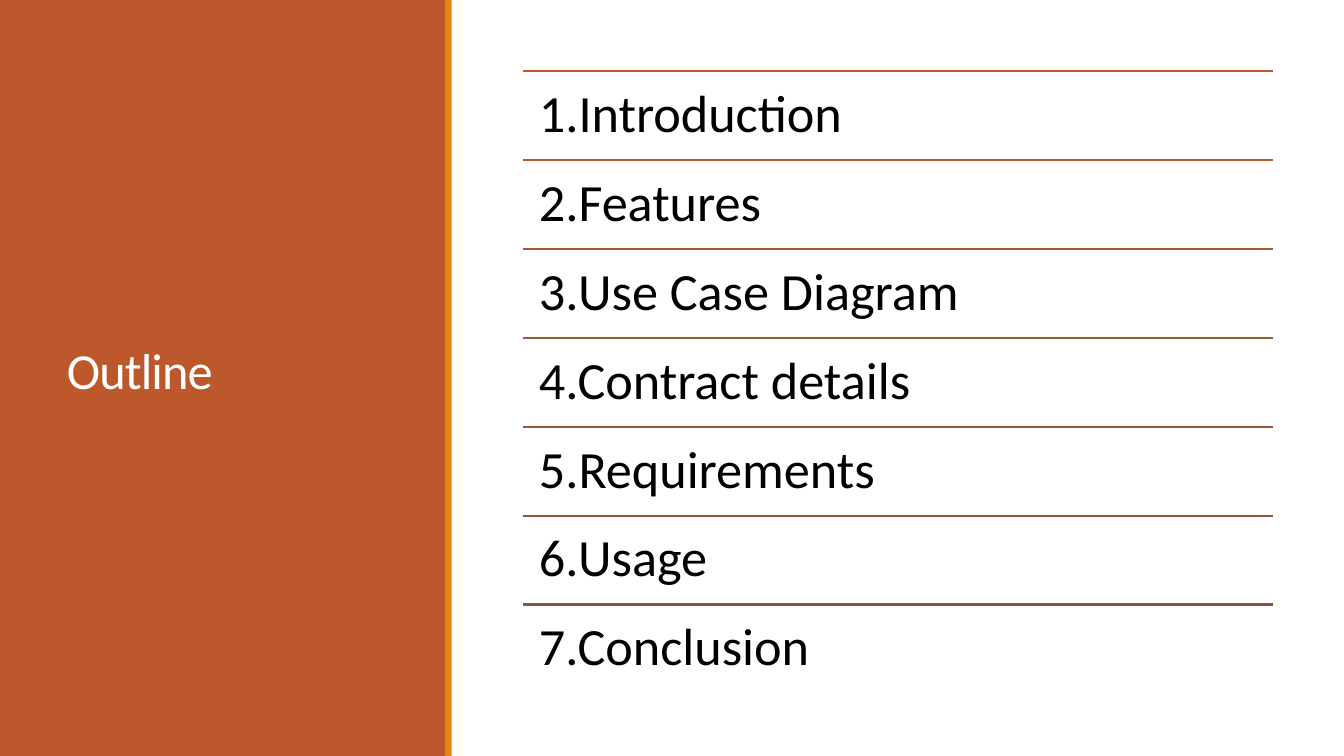
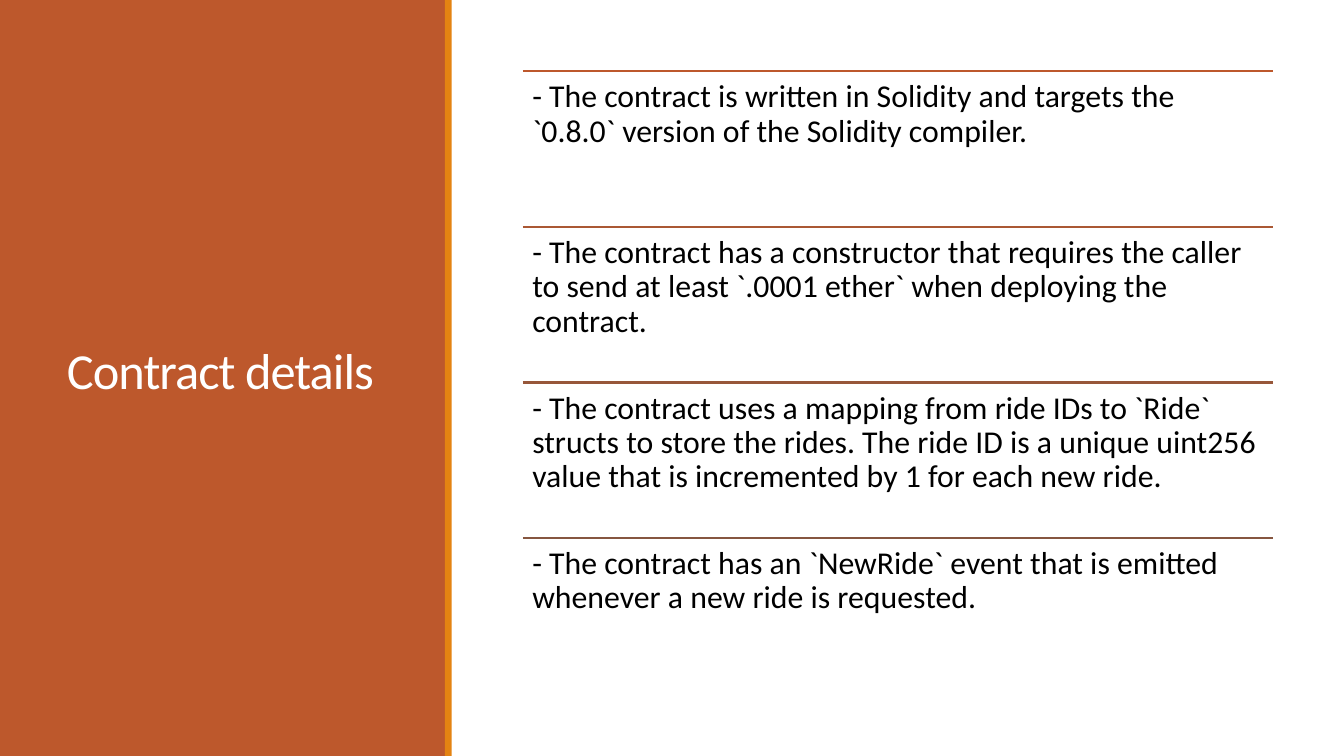
"""Build two slides with a coloured title panel and a ruled list."""
from lxml import etree
from pptx import Presentation
from pptx import util as u
from pptx.dml.color import RGBColor
from pptx.enum import shapes, text
from pptx.oxml.ns import qn

COLORS = {"panel": "BD582C", "accent": "E48312", "title": "FFFFFF", "body": "000000"}
RULES = ["BD582C", "B35830", "AA5834", "A05837", "97573A", "8F573D", "865640"]
FONT = "Calibri"
LEFT, TOP, WIDTH, HEIGHT = 3.89, 0.53, 5.58, 4.63

SLIDES = [
    ("Outline", 28, 0.12, [
        "1.Introduction",
        "2.Features",
        "3.Use Case Diagram",
        "4.Contract details",
        "5.Requirements",
        "6.Usage",
        "7.Conclusion",
    ]),
    ("Contract details", 17, 0.07, [
        "- The contract is written in Solidity and targets the `0.8.0` version of the Solidity compiler.",
        "- The contract has a constructor that requires the caller to send at least `.0001 ether` "
        "when deploying the contract.",
        "- The contract uses a mapping from ride IDs to `Ride` structs to store the rides. "
        "The ride ID is a unique uint256 value that is incremented by 1 for each new ride.",
        "- The contract has an `NewRide` event that is emitted whenever a new ride is requested.",
    ]),
]


def add_band(s, left, width, color):
    sp = s.shapes.add_shape(shapes.MSO_SHAPE.RECTANGLE, u.Inches(left), 0,
                            u.Inches(width), prs.slide_height)
    sp.shadow.inherit = False
    sp.fill.solid()
    sp.fill.fore_color.rgb = RGBColor.from_string(color)
    sp.line.fill.background()


def add_text(s, box, words, size, color, inset, spacing, anchor):
    tf = s.shapes.add_textbox(*[u.Inches(v) for v in box]).text_frame
    tf.word_wrap = True
    tf.vertical_anchor = anchor
    tf.margin_left = tf.margin_right = u.Inches(inset)
    tf.margin_top = tf.margin_bottom = u.Inches(inset)
    p = tf.paragraphs[0]
    p.line_spacing = spacing
    r = p.add_run()
    r.text = words
    r.font.name = FONT
    r.font.size = u.Pt(size)
    r.font.color.rgb = RGBColor.from_string(color)
    return r


prs = Presentation()
prs.slide_width = u.Inches(10)
prs.slide_height = u.Inches(10) * 9 // 16

for title, size, inset, items in SLIDES:
    s = prs.slides.add_slide(prs.slide_layouts[6])
    add_band(s, 0, 3.32, COLORS["panel"])
    r = add_text(s, (0.4, 0.42, 2.53, 4.73), title, 27, COLORS["title"], 0.1, 0.85,
                 text.MSO_ANCHOR.MIDDLE)
    r.font._element.set("spc", "-50")
    add_band(s, 3.31, 0.05, COLORS["accent"])

    row = HEIGHT / len(items)
    shade_step = (len(RULES) - 1) // (len(items) - 1)
    for i, item in enumerate(items):
        y = TOP + i * row
        rule = s.shapes.add_connector(shapes.MSO_CONNECTOR.STRAIGHT, u.Inches(LEFT), u.Inches(y),
                                      u.Inches(LEFT + WIDTH), u.Inches(y))
        rule.line.color.rgb = RGBColor.from_string(RULES[i * shade_step])
        rule.line.width = u.Pt(1.25)
        etree.SubElement(rule._element.spPr, qn("a:effectLst"))
        add_text(s, (LEFT, y, WIDTH, row), item, size, COLORS["body"], inset, 0.9,
                 text.MSO_ANCHOR.TOP)

prs.save("out.pptx")
